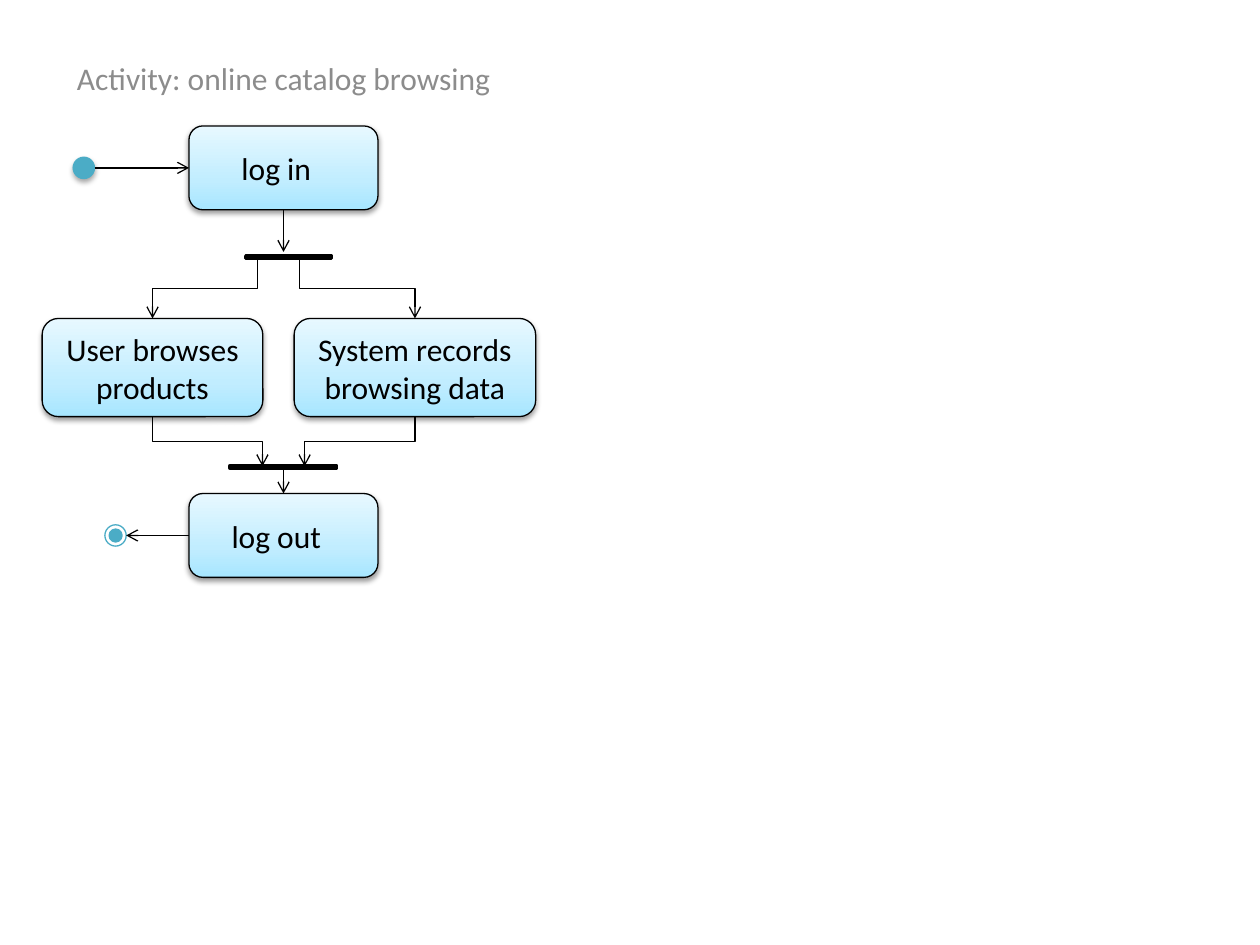
from copy import deepcopy
from dataclasses import dataclass

from lxml import etree
from pptx import Presentation
from pptx import util as u
from pptx.dml.color import RGBColor
from pptx.enum import shapes, text
from pptx.oxml.ns import qn


@dataclass(frozen=True)
class Theme:
    font: str = "Calibri"
    text_size: float = 18
    thin: float = 0.75
    thick: float = 2
    ink: str = "000000"
    title: str = "8C8C8C"
    paper: str = "FFFFFF"
    accent: str = "4BACC6"
    fork: str = "1F497D"
    join: str = "4F81BD"
    action_stops: tuple = ((0, "A7E6FF"), (0.35, "C1EDFF"), (1, "E7F8FF"))


THEME = Theme()


@dataclass(frozen=True)
class Action:
    """A rounded activity step, in centimetres."""
    label: str
    left: float
    top: float
    width: float
    height: float
    right_inset: float = 0.25

    @property
    def centre(self) -> float:
        return self.left + self.width / 2

    @property
    def middle(self) -> float:
        return self.top + self.height / 2

    @property
    def bottom(self) -> float:
        return self.top + self.height


@dataclass(frozen=True)
class Bar:
    """A fork or join bar made of overlapping minus marks."""
    left: float
    top: float
    marks: int
    fill: str


@dataclass(frozen=True)
class Flow:
    start: tuple[float, float]
    end: tuple[float, float]
    vertical: bool = True


def colour(value: str) -> RGBColor:
    return RGBColor.from_string(value)


def write(frame, content: str, *, color: str, anchor, right_inset: float = 0.25) -> None:
    frame.word_wrap = True
    frame.vertical_anchor = anchor
    frame.margin_right = u.Cm(right_inset)
    para = frame.paragraphs[0]
    para.alignment = text.PP_ALIGN.CENTER
    span = para.add_run()
    span.text = content
    span.font.name = THEME.font
    span.font.size = u.Pt(THEME.text_size)
    span.font.color.rgb = colour(color)


def add_shadow(shape, opacity: int, distance: float) -> None:
    effects = shape._element.spPr.find(qn("a:effectLst"))
    shadow = etree.SubElement(effects, qn("a:outerShdw"), blurRad=str(u.Pt(3.1)),
                              dist=str(u.Pt(distance)), dir="5400000", rotWithShape="0")
    black = etree.SubElement(shadow, qn("a:srgbClr"), val=THEME.ink)
    etree.SubElement(black, qn("a:alpha"), val=str(opacity * 1000))


def add_shape(parent, kind, left: float, top: float, width: float, height: float, *,
              line: str, weight: float, fill: str | None = None):
    shape = parent.add_shape(kind, u.Cm(left), u.Cm(top), u.Cm(width), u.Cm(height))
    shape.shadow.inherit = False
    shape.line.color.rgb = colour(line)
    shape.line.width = u.Pt(weight)
    if fill:
        shape.fill.solid()
        shape.fill.fore_color.rgb = colour(fill)
    return shape


def add_circle(parent, centre: tuple[float, float], size: float, *, fill: str, weight: float):
    x, y = centre
    return add_shape(parent, shapes.MSO_SHAPE.OVAL, x - size / 2, y - size / 2, size, size,
                     fill=fill, line=THEME.accent, weight=weight)


def add_action(page, action: Action) -> None:
    box = add_shape(page.shapes, shapes.MSO_SHAPE.ROUNDED_RECTANGLE, action.left, action.top,
                    action.width, action.height, line=THEME.ink, weight=THEME.thin)
    box.fill.gradient()
    box.fill.gradient_angle = 90
    stop_list = box._element.spPr.find(qn("a:gradFill")).find(qn("a:gsLst"))
    stop_list.append(deepcopy(stop_list[0]))
    for stop, (position, value) in zip(box.fill.gradient_stops, THEME.action_stops):
        stop.position = position
        stop.color.rgb = colour(value)
    add_shadow(box, 38, 1.6)
    write(box.text_frame, action.label, color=THEME.ink, anchor=text.MSO_ANCHOR.MIDDLE,
          right_inset=action.right_inset)


def add_bar(page, bar: Bar) -> None:
    group = page.shapes.add_group_shape()
    for index in range(bar.marks):
        add_shape(group.shapes, shapes.MSO_SHAPE.MATH_MINUS, bar.left + index * 0.42, bar.top,
                  0.64, 0.21, fill=bar.fill, line=THEME.ink, weight=THEME.thick)


def add_flow(page, flow: Flow) -> None:
    """Draw an elbow arrow; a vertical one is laid flat, then turned by 90 degrees."""
    (x1, y1), (x2, y2) = flow.start, flow.end
    if flow.vertical:
        x, y = (x1 + x2) / 2, (y1 + y2) / 2
        half_x, half_y = (x2 - x1) / 2, (y2 - y1) / 2
        x1, y1, x2, y2 = x - half_y, y + half_x, x + half_y, y - half_x
    arrow = page.shapes.add_connector(shapes.MSO_CONNECTOR.ELBOW,
                                      u.Cm(x1), u.Cm(y1), u.Cm(x2), u.Cm(y2))
    properties = arrow._element.spPr
    if flow.vertical:
        properties.find(qn("a:xfrm")).set("rot", "5400000")
    arrow.line.color.rgb = colour(THEME.ink)
    arrow.line.width = u.Pt(THEME.thin)
    etree.SubElement(properties.find(qn("a:ln")), qn("a:tailEnd"), type="arrow")
    etree.SubElement(properties, qn("a:effectLst"))


def main() -> None:
    deck = Presentation()
    deck.slide_width, deck.slide_height = u.Cm(25.4), u.Cm(19.05)
    page = deck.slides.add_slide(deck.slide_layouts[6])

    title = page.shapes.add_textbox(u.Cm(0.85), u.Cm(1.06), u.Cm(9.74), u.Cm(1.02))
    write(title.text_frame, "Activity: online catalog browsing", color=THEME.title,
          anchor=text.MSO_ANCHOR.TOP)

    log_in = Action("log in", 3.81, 2.54, 3.81, 1.69, right_inset=0.54)
    browse = Action("User browses products", 0.85, 6.42, 4.45, 1.98)
    record = Action("System records browsing data", 5.93, 6.42, 4.87, 1.98)
    log_out = Action("log out", 3.81, 9.95, 3.81, 1.69, right_inset=0.54)
    for action in (log_in, browse, record, log_out):
        add_action(page, action)

    start = (1.69, log_in.middle)
    finish = (2.33, log_out.middle)
    size = 0.43
    add_shadow(add_circle(page.shapes, start, size, fill=THEME.accent, weight=THEME.thin), 35, 1.8)
    target = page.shapes.add_group_shape().shapes
    add_circle(target, finish, size, fill=THEME.paper, weight=THEME.thin)
    add_circle(target, finish, size / 2, fill=THEME.accent, weight=THEME.thick)

    axis = log_in.centre
    fork = Bar(4.87, 5.08, 4, THEME.fork)
    join = Bar(4.55, 9.31, 5, THEME.join)
    flows = (
        Flow((start[0] + size / 2, start[1]), (log_in.left, log_in.middle), vertical=False),
        Flow((axis, log_in.bottom), (axis, fork.top)),
        Flow((5.19, 5.21), (browse.centre, browse.top)),
        Flow((6.04, 5.21), (record.centre, record.top)),
        Flow((browse.centre, browse.bottom), (5.29, 9.4)),
        Flow((record.centre, record.bottom), (6.14, 9.4)),
        Flow((axis, 9.45), (axis, log_out.top)),
        Flow((log_out.left, log_out.middle), (finish[0] + size / 2, finish[1]), vertical=False),
    )
    for flow in flows:
        add_flow(page, flow)
    for bar in (fork, join):
        add_bar(page, bar)

    deck.save("out.pptx")


if __name__ == "__main__":
    main()
